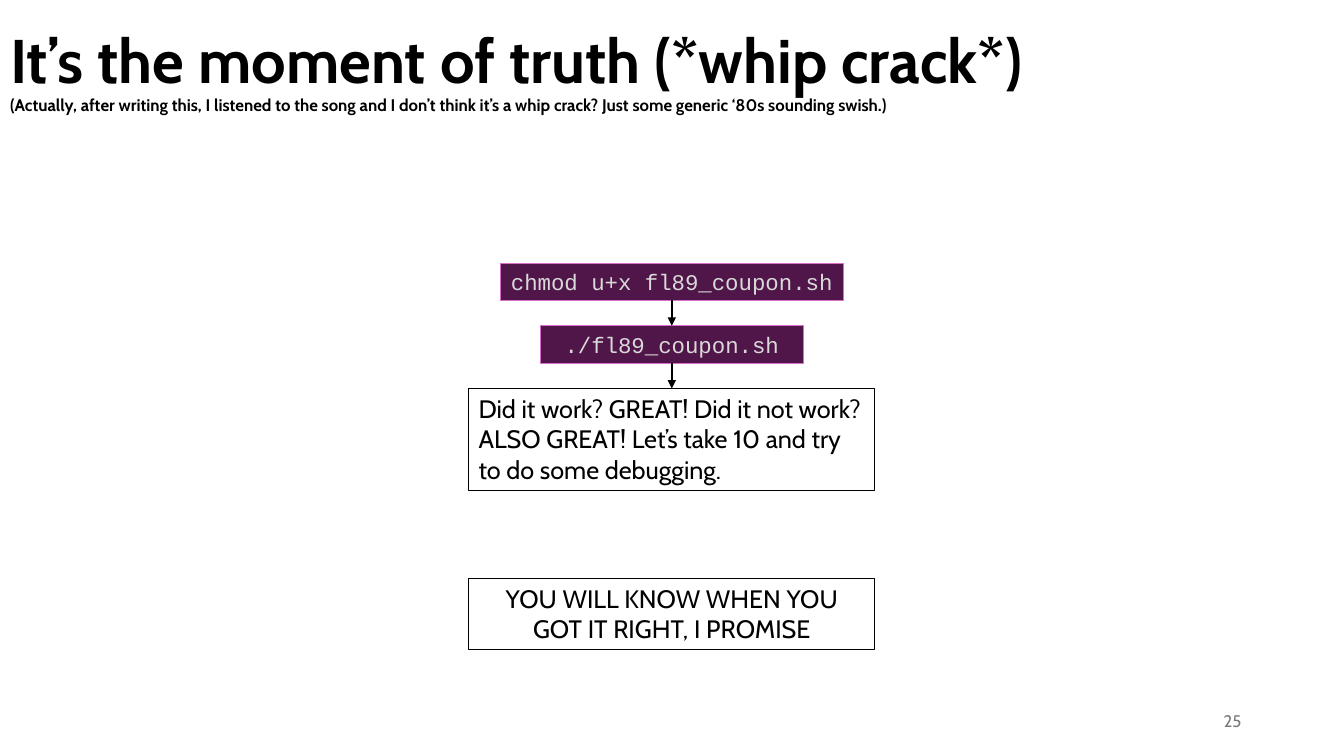
from lxml.etree import SubElement
from pptx import Presentation
from pptx.dml.color import RGBColor
from pptx.enum.shapes import MSO_CONNECTOR as Link, MSO_SHAPE as Shape
from pptx.enum.text import MSO_ANCHOR as Anchor, MSO_AUTO_SIZE as Fit, PP_ALIGN as Align
from pptx.oxml.ns import qn
from pptx.util import Cm, Pt

SANS, MONO = "Cabin", "Courier New"
BLACK, WHITE, GREY = "000000", "FFFFFF", "797979"
PLUM, PINK, SILVER = "501649", "D86ECC", "D9D9D9"
BOTTOM, TOP = 2, 0


def paint(color, code):
    color.rgb = RGBColor.from_string(code)


def style(font, name, size, code):
    font.name, font.size = name, Pt(size)
    paint(font.color, code)


def head(slide, left, top, width, height):
    title = slide.shapes.title
    title.left, title.top, title.width, title.height = map(Cm, (left, top, width, height))
    frame = title.text_frame
    frame.auto_size, frame.vertical_anchor = Fit.NONE, Anchor.MIDDLE
    line = frame.paragraphs[0]
    line.alignment, line.line_spacing = Align.LEFT, 0.9
    style(line.font, SANS, 44, BLACK)
    line.font.bold = True
    line.add_run().text = "It’s the moment of truth (*whip crack*)"
    line.add_line_break()
    note = line.add_run()
    note.text = ("(Actually, after writing this, I listened to the song and I don’t think "
                 "it’s a whip crack? Just some generic ‘80s sounding swish.)")
    note.font.size = Pt(12)


def number(slide, left, top, width, height):
    box = slide.shapes.add_textbox(*map(Cm, (left, top, width, height)))
    frame = box.text_frame
    frame.word_wrap, frame.vertical_anchor = True, Anchor.MIDDLE
    line = frame.paragraphs[0]
    line.text, line.alignment = "25", Align.RIGHT
    style(line.font, SANS, 12, GREY)


def block(slide, mid, top, width, height, text, code=False, align=Align.CENTER):
    """Add a rectangle centred on mid, as a command or as a remark."""
    box = slide.shapes.add_shape(
        Shape.RECTANGLE, *map(Cm, (mid - width / 2, top, width, height)))
    box.shadow.inherit = False
    box.fill.solid()
    paint(box.fill.fore_color, PLUM if code else WHITE)
    paint(box.line.color, PINK if code else BLACK)
    box.line.width = Pt(0.75)
    frame = box.text_frame
    frame.word_wrap, frame.vertical_anchor = True, Anchor.TOP
    line = frame.paragraphs[0]
    line.text, line.alignment = text, align
    if code:
        style(line.font, MONO, 16, SILVER)
    else:
        style(line.font, SANS, 18, BLACK)
    return box


def arrow(slide, start, end):
    link = slide.shapes.add_connector(Link.STRAIGHT, 0, 0, 0, 0)
    link.begin_connect(start, BOTTOM)
    link.end_connect(end, TOP)
    paint(link.line.color, BLACK)
    link.line.width = Pt(1.5)
    SubElement(link.line._get_or_add_ln(), qn("a:tailEnd"), type="triangle")
    SubElement(link._element.spPr, qn("a:effectLst"))


def flow(slide, left, top, width):
    """Stack the two commands and the remarks down the middle of the column."""
    mid, row, gap = left + width / 2, 0.94, 0.64
    step = row + gap
    grant = block(slide, mid, top, 8.64, row, "chmod u+x fl89_coupon.sh", code=True)
    launch = block(slide, mid, top + step, 6.63, row, "./fl89_coupon.sh", code=True)
    check = block(slide, mid, top + 2 * step, width, 2.57,
                  "Did it work? GREAT! Did it not work? ALSO GREAT! "
                  "Let’s take 10 and try to do some debugging.", align=Align.LEFT)
    block(slide, mid, top + 7.95, width, 1.8,
          "YOU WILL KNOW WHEN YOU GOT IT RIGHT, I PROMISE")
    arrow(slide, grant, launch)
    arrow(slide, launch, check)


def main():
    deck = Presentation()
    deck.slide_width, deck.slide_height = Cm(33.87), Cm(19.05)
    slide = deck.slides.add_slide(deck.slide_layouts[5])
    head(slide, 0, 0, 29.21, 3.68)
    number(slide, 23.92, 17.66, 7.62, 1.01)
    flow(slide, 11.81, 6.63, 10.24)
    deck.save("out.pptx")


if __name__ == "__main__":
    main()
